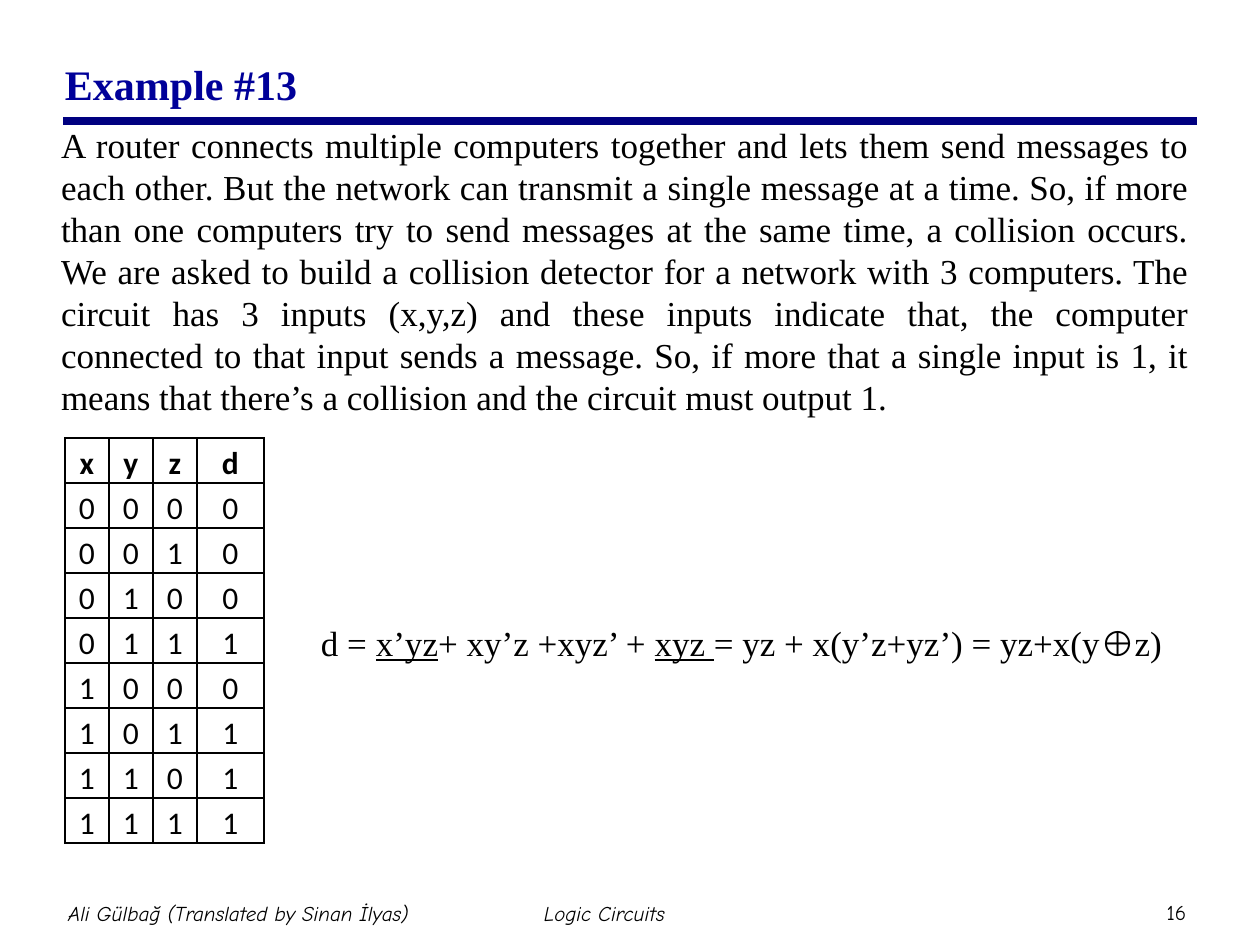
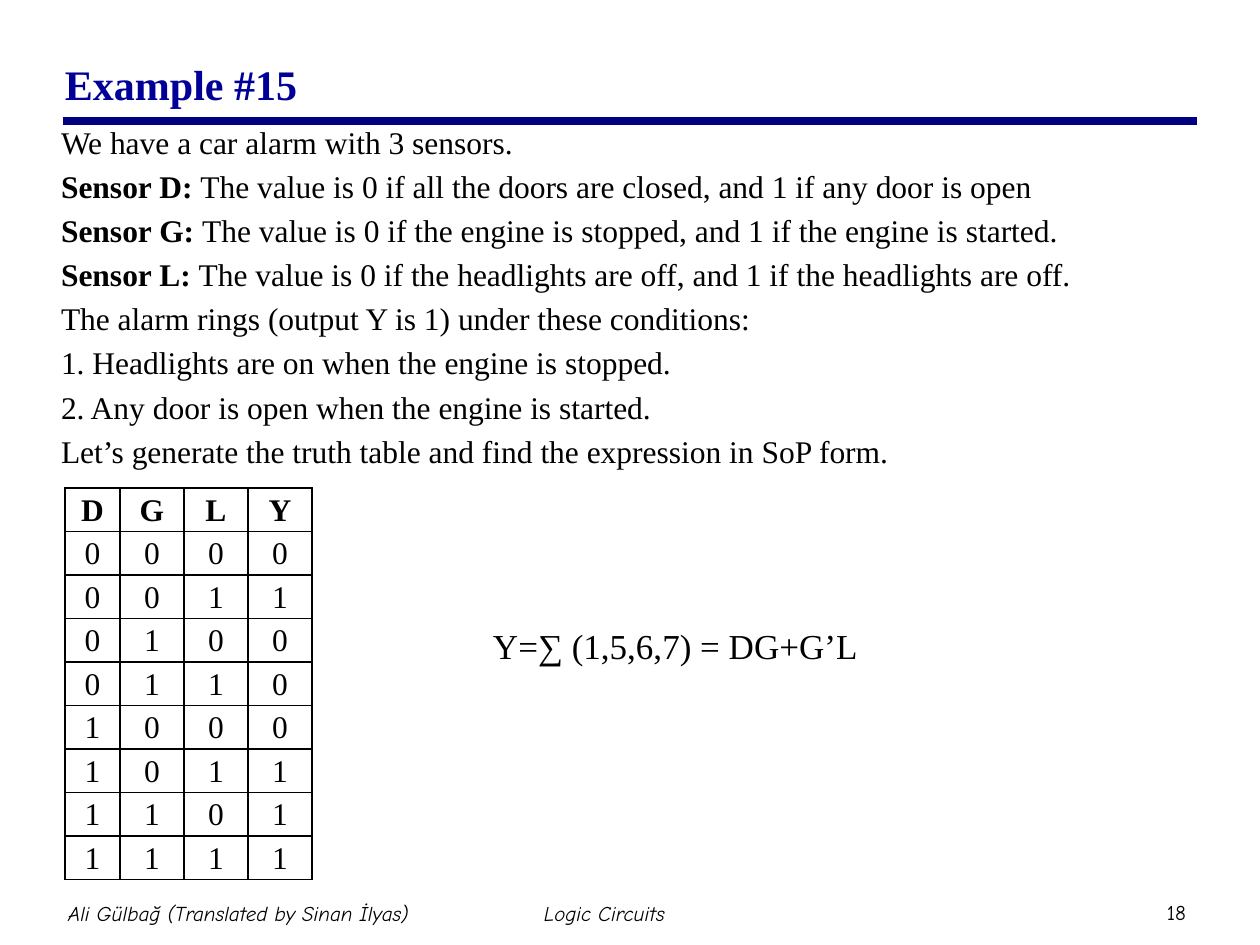
from dataclasses import dataclass
from itertools import product

from lxml import etree
from pptx import Presentation, util as u
from pptx.dml import color
from pptx.enum import shapes, text
from pptx.oxml import ns

EMU_PER_PX = 914400 / 126
ALIGN = text.PP_ALIGN
ANCHOR = text.MSO_ANCHOR


@dataclass(frozen=True)
class Theme:
    ink: str = "000000"
    title: str = "000099"
    rule: str = "000080"
    serif: str = "Times New Roman"
    sans: str = "Calibri"
    footer_font: str = "Comic Neue"
    title_size: int = 24
    large_size: int = 20
    body_size: int = 18
    footer_size: int = 12
    rule_width: float = 4.5
    leading: float = 1.2
    space_before: float = 0.2


THEME = Theme()


def px(length):
    return u.Emu(round(length * EMU_PER_PX))


def set_font(font, name, size, ink=THEME.ink, bold=None, italic=None):
    font.name = name
    font.size = u.Pt(size)
    font.color.rgb = color.RGBColor.from_string(ink)
    font.bold = bold
    font.italic = italic


def add_text(slide, box, paragraphs, size, font=THEME.serif, ink=THEME.ink, align=ALIGN.LEFT,
             anchor=ANCHOR.TOP, inset=(13, 6), leading=THEME.leading, bold=None, italic=None):
    frame = slide.shapes.add_textbox(*map(px, box)).text_frame
    frame.word_wrap = True
    frame.vertical_anchor = anchor
    frame.margin_left = frame.margin_right = px(inset[0])
    frame.margin_top = frame.margin_bottom = px(inset[1])
    for index, runs in enumerate(paragraphs):
        paragraph = frame.paragraphs[0] if index == 0 else frame.add_paragraph()
        paragraph.alignment = align
        if leading:
            paragraph.line_spacing = u.Pt(size * leading)
        if index:
            paragraph.space_before = u.Pt(size * THEME.space_before)
        set_font(paragraph.font, font, size, ink, bold, italic)
        for content, emphasis in runs:
            run = paragraph.add_run()
            run.text = content
            if emphasis:
                setattr(run.font, emphasis, True)


def plain(content):
    return [(content, None)]


def add_footer(slide, box, content, italic=True):
    add_text(slide, box, [plain(content)], THEME.footer_size, THEME.footer_font,
             align=ALIGN.CENTER, anchor=ANCHOR.MIDDLE, inset=(6, 6), leading=None, italic=italic)


def add_rule(slide):
    rule = slide.shapes.add_connector(shapes.MSO_CONNECTOR.STRAIGHT, px(63), px(121), px(1197), px(121))
    rule.line.color.rgb = color.RGBColor.from_string(THEME.rule)
    rule.line.width = u.Pt(THEME.rule_width)
    etree.SubElement(rule._element.spPr, ns.qn("a:effectLst"))


def add_example(presentation, title, number):
    slide = presentation.slides.add_slide(presentation.slide_layouts[6])
    add_rule(slide)
    add_footer(slide, (1147, 893, 59, 38), str(number), italic=False)
    add_footer(slide, (13, 882, 451, 63), "Ali Gülbağ (Translated by Sinan İlyas)")
    add_footer(slide, (379, 882, 451, 63), "Logic Circuits")
    add_text(slide, (52, 30, 1071, 108), [plain(title)], THEME.title_size,
             ink=THEME.title, anchor=ANCHOR.MIDDLE, bold=True)
    return slide


def add_borders(cell):
    properties = cell._tc.get_or_add_tcPr()
    for side in ("lnL", "lnR", "lnT", "lnB"):
        line = etree.SubElement(properties, ns.qn("a:" + side), w=str(u.Pt(1)))
        fill = etree.SubElement(line, ns.qn("a:solidFill"))
        etree.SubElement(fill, ns.qn("a:srgbClr"), val=THEME.ink)


def add_truth_table(slide, left, top, widths, row_height, names, output, font, anchor, insets):
    rows = [names] + [(*bits, int(output(*bits))) for bits in product((0, 1), repeat=3)]
    frame = slide.shapes.add_table(len(rows), len(widths), px(left), px(top),
                                   px(sum(widths)), px(row_height * len(rows)))
    table = frame.table
    table.first_row = table.horz_banding = False
    for column, width in zip(table.columns, widths):
        column.width = px(width)
    for row_index, values in enumerate(rows):
        table.rows[row_index].height = px(row_height)
        for column_index, value in enumerate(values):
            cell = table.cell(row_index, column_index)
            cell.margin_left = cell.margin_right = px(insets[0])
            cell.margin_top, cell.margin_bottom = px(insets[1]), 0
            cell.vertical_anchor = anchor
            add_borders(cell)
            cell.fill.background()
            paragraph = cell.text_frame.paragraphs[0]
            paragraph.alignment = ALIGN.CENTER
            paragraph.line_spacing = 1.15
            set_font(paragraph.font, font, THEME.body_size, bold=row_index == 0)
            paragraph.add_run().text = str(value)


def add_collision_detector(presentation):
    slide = add_example(presentation, "Example #13", 16)
    task = (
        "A router connects multiple computers together and lets them send messages to each other. "
        "But the network can transmit a single message at a time. So, if more than one computers "
        "try to send messages at the same time, a collision occurs. We are asked to build a "
        "collision detector for a network with 3 computers. The circuit has 3 inputs (x,y,z) and "
        "these inputs indicate that, the computer connected to that input sends a message. So, if "
        "more that a single input is 1, it means that there’s a collision and the circuit must "
        "output 1."
    )
    add_text(slide, (48, 117, 1154, 310), [plain(task)], THEME.large_size, align=ALIGN.JUSTIFY)
    expression = [("d = ", None), ("x’yz", "underline"), ("+ xy’z +xyz’ + ", None),
                  ("xyz ", "underline"), ("= yz + x(y’z+yz’) = yz+x(y⊕z)", None)]
    add_text(slide, (308, 615, 894, 55), [expression], THEME.large_size)
    add_truth_table(slide, 65, 438, (44, 44, 44, 67), 45, "xyzd",
                    lambda x, y, z: x + y + z > 1, THEME.sans, ANCHOR.MIDDLE, (6, 1))


def add_car_alarm(presentation):
    slide = add_example(presentation, "Example #15", 18)
    sensors = {
        "D": "The value is 0 if all the doors are closed, and 1 if any door is open",
        "G": "The value is 0 if the engine is stopped, and 1 if the engine is started.",
        "L": "The value is 0 if the headlights are off, and 1 if the headlights are off.",
    }
    conditions = [
        "The alarm rings (output Y is 1) under these conditions:",
        "1. Headlights are on when the engine is stopped.",
        "2. Any door is open when the engine is started.",
        "Let’s generate the truth table and find the expression in SoP form.",
    ]
    paragraphs = [plain("We have a car alarm with 3 sensors.")]
    paragraphs += [[(f"Sensor {name}: ", "bold"), (meaning, None)] for name, meaning in sensors.items()]
    paragraphs += [plain(line) for line in conditions]
    add_text(slide, (48, 117, 1154, 365), paragraphs, THEME.body_size)
    add_text(slide, (480, 618, 722, 55), [plain("Y=∑ (1,5,6,7) = DG+G’L")], THEME.large_size)
    add_truth_table(slide, 65, 488, (55, 64, 64, 64), 40, "DGLY",
                    lambda d, g, l: d if g else l, THEME.serif, ANCHOR.TOP, (5, 0))


def main():
    presentation = Presentation()
    presentation.slide_width, presentation.slide_height = px(1260), px(945)
    add_collision_detector(presentation)
    add_car_alarm(presentation)
    presentation.save("out.pptx")


if __name__ == "__main__":
    main()
